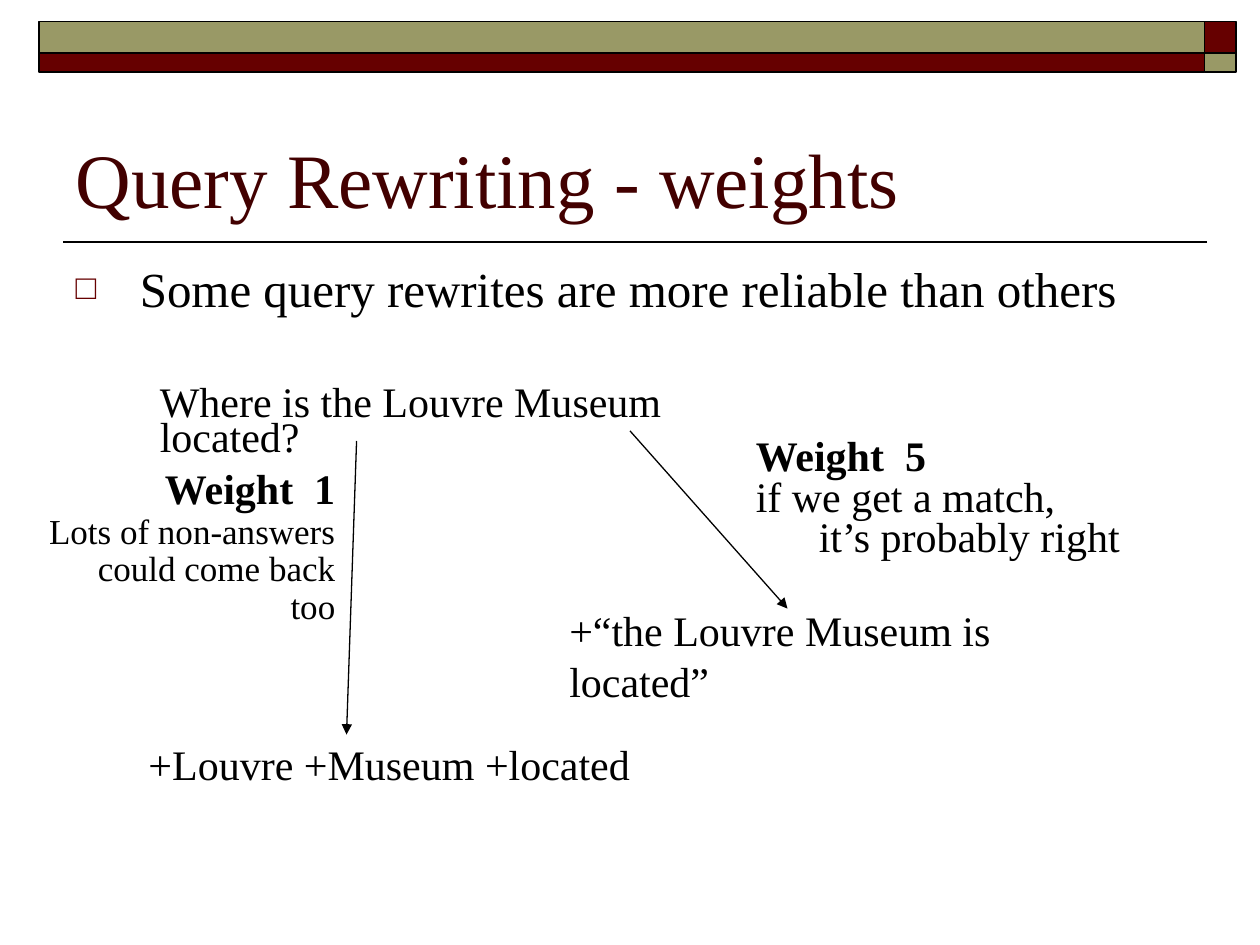
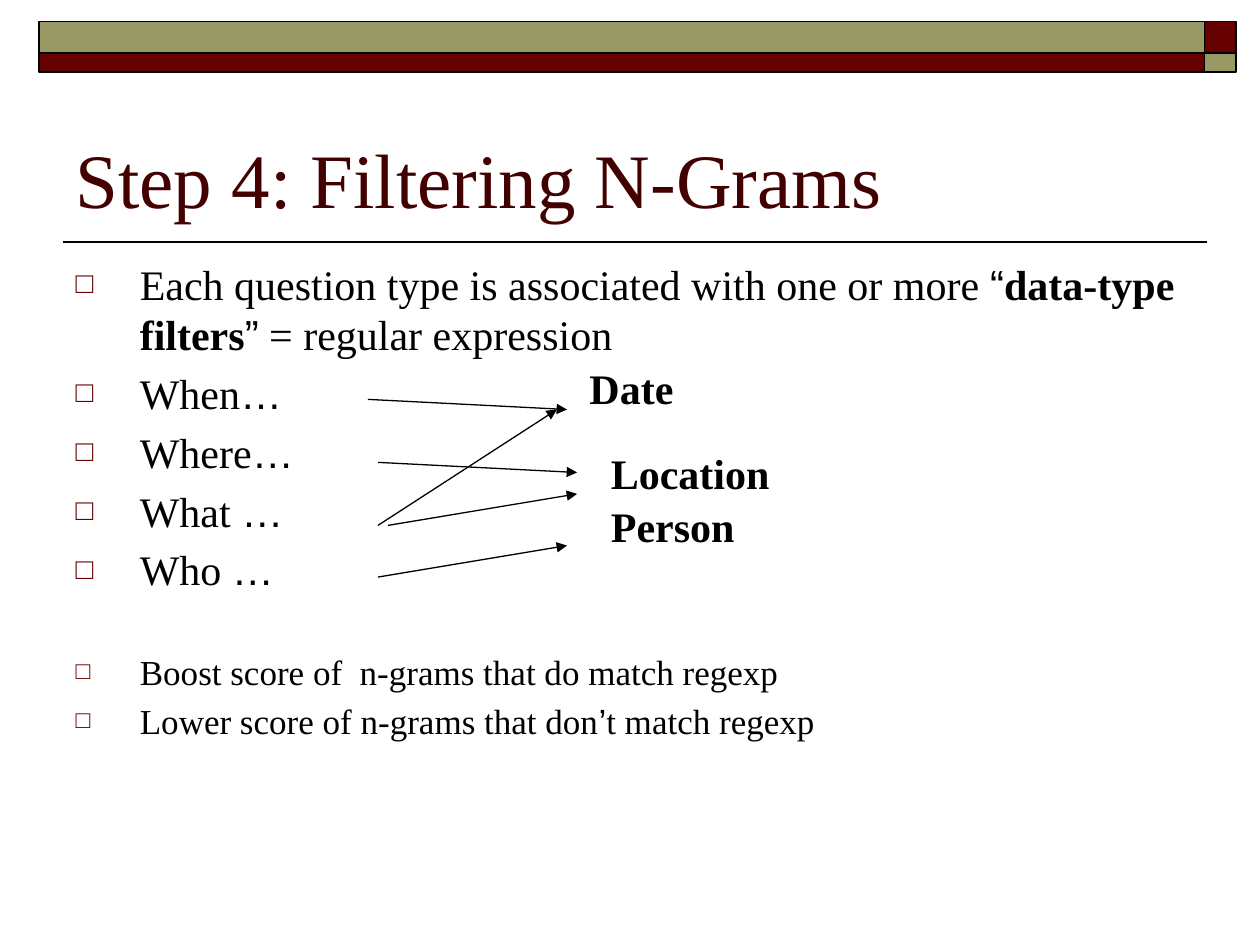
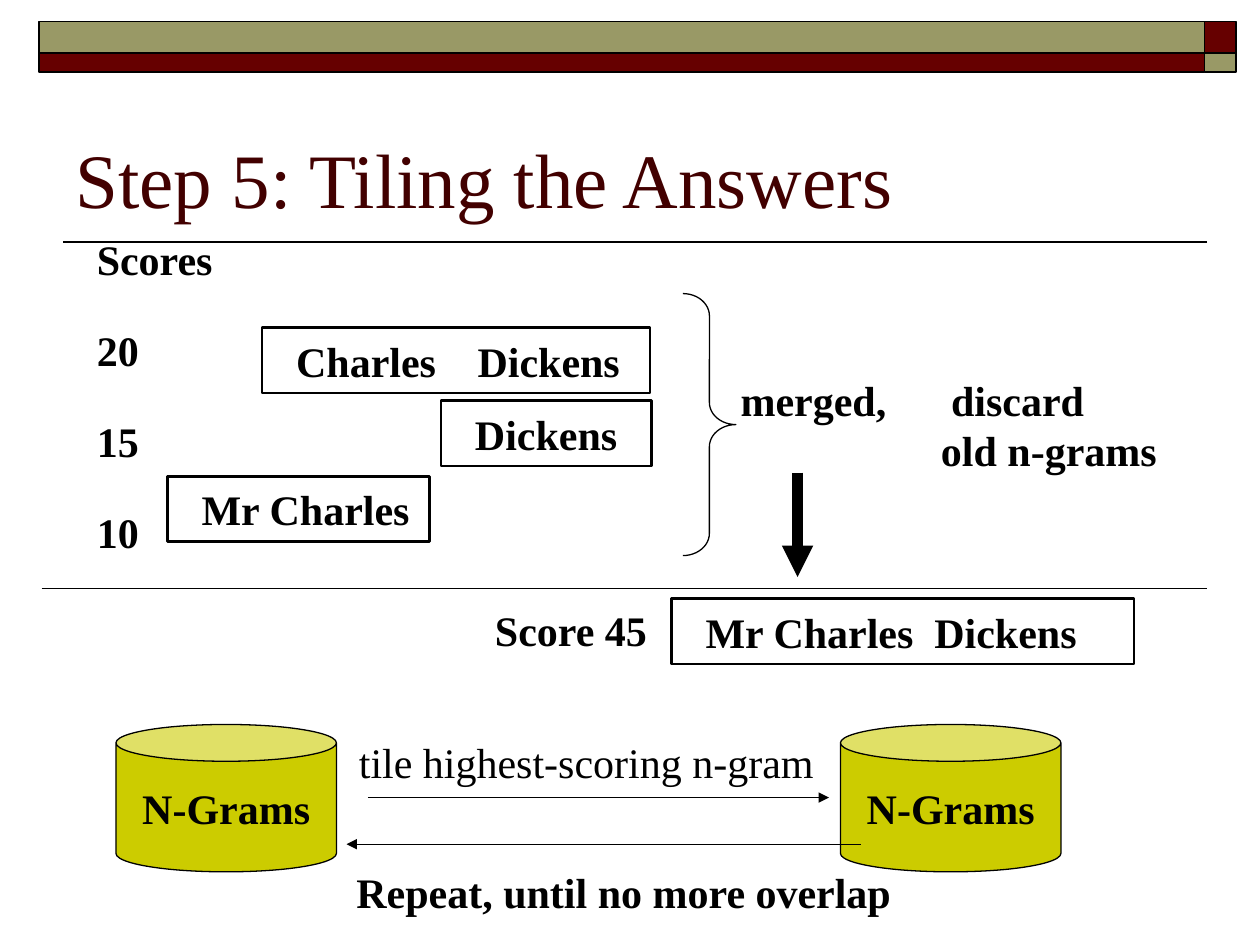
from dataclasses import dataclass

from lxml import etree
from pptx import Presentation
from pptx import util as u
from pptx.dml.color import RGBColor
from pptx.enum import shapes, text
from pptx.oxml import ns


@dataclass(frozen=True)
class Theme:
    font: str = "Times New Roman"
    symbol_font: str = "Arial"
    symbols: str = "“”’…"
    ink: str = "000000"
    heading: str = "420000"
    maroon: str = "660000"
    olive: str = "999966"
    store: str = "CCCC00"
    title_size: int = 44
    lead_size: int = 28
    text_size: int = 24
    small_size: int = 20
    thin: float = 0.75
    rule: float = 1
    frame: float = 1.5
    heavy: float = 6


@dataclass
class Line:
    words: str
    size: int = Theme.text_size
    bold: bool = False
    indent: float = 0
    tab: float = 0
    before: float = 0
    spacing: float = 1
    align: text.PP_ALIGN = text.PP_ALIGN.LEFT


def bold(words, **options):
    return Line(words, bold=True, **options)


def inches(*lengths):
    return [u.Inches(length) for length in lengths]


def add_xml(parent, tag, **attributes):
    return etree.SubElement(parent, ns.qn(tag), attributes)


class Slides:
    def __init__(self, theme):
        self.theme = theme
        self.deck = Presentation()
        self.deck.slide_width, self.deck.slide_height = inches(10, 7.5)
        self.page = None

    def start(self, title, layout):
        self.page = self.deck.slides.add_slide(self.deck.slide_layouts[layout])
        if len(self.deck.slides) == 1:
            self.dress_master()
        box = self.page.shapes.title
        self.place(box, 0.5, 0.58, 9, 1.25)
        frame = self.prepare(box, text.MSO_ANCHOR.BOTTOM, wrap=True)
        frame.text = title
        para = frame.paragraphs[0]
        para.alignment = text.PP_ALIGN.LEFT
        self.style(para.runs[0], self.theme.title_size, color=self.theme.heading)

    def dress_master(self):
        theme = self.theme
        parts = [self.line(9.58, 1.92, 0.5, 1.92, theme.rule)]
        rows = [(0.17, 0.25, theme.olive, theme.maroon), (0.42, 0.15, theme.maroon, theme.olive)]
        for top, height, band, corner in rows:
            for left, width, fill in [(0.31, 9.25, band), (9.56, 0.25, corner)]:
                parts.append(self.shape(shapes.MSO_SHAPE.RECTANGLE, left, top, width, height,
                                        fill, theme.rule))
        tree = self.deck.slide_master.shapes.element
        for number, part in enumerate(parts, 101):
            part.element.xpath(".//p:cNvPr")[0].set("id", str(number))
            tree.append(part.element)

    def place(self, box, *bounds):
        box.left, box.top, box.width, box.height = inches(*bounds)

    def prepare(self, box, anchor=text.MSO_ANCHOR.TOP, wrap=False):
        frame = box.text_frame
        frame.auto_size = text.MSO_AUTO_SIZE.NONE
        frame.word_wrap = wrap
        frame.vertical_anchor = anchor
        return frame

    def style(self, span, size, strong=False, color=None, font=None):
        span.font.name = font or self.theme.font
        span.font.size = u.Pt(size)
        span.font.bold = strong
        span.font.color.rgb = RGBColor.from_string(color or self.theme.ink)

    def fill_text(self, frame, lines):
        frame.text = "\n".join(line.words for line in lines)
        for para, line in zip(frame.paragraphs, lines):
            para.alignment = line.align
            para.line_spacing = line.spacing
            para.space_before = u.Pt(line.before)
            props = para._p.get_or_add_pPr()
            if line.indent:
                props.set("marL", str(u.Inches(line.indent)))
            if line.tab:
                tabs = add_xml(props, "a:tabLst")
                add_xml(tabs, "a:tab", pos=str(u.Inches(line.tab)), algn="l")
            for span in para.runs:
                self.style(span, line.size, line.bold)

    def label(self, left, top, width, height, *lines, wrap=False, anchor=text.MSO_ANCHOR.TOP):
        box = self.page.shapes.add_textbox(*inches(left, top, width, height))
        self.fill_text(self.prepare(box, anchor, wrap), lines)

    def bullets(self, items, strong=None):
        theme = self.theme
        box = self.page.placeholders[1]
        self.place(box, 0.5, 2, 9, 4.7)
        frame = self.prepare(box, wrap=True)
        for index, (size, before, pieces) in enumerate(items):
            para = frame.add_paragraph() if index else frame.paragraphs[0]
            para.space_before = u.Pt(before)
            props = para._p.get_or_add_pPr()
            props.set("marL", str(u.Inches(0.51)))
            props.set("indent", str(u.Inches(-0.51)))
            add_xml(add_xml(props, "a:buClr"), "a:srgbClr", val=theme.maroon)
            add_xml(props, "a:buSzPct", val="70000")
            add_xml(props, "a:buFont", typeface=theme.symbol_font)
            add_xml(props, "a:buChar", char="□")
            for piece in pieces:
                span = para.add_run()
                span.text = piece
                font = theme.symbol_font if piece in theme.symbols else theme.font
                self.style(span, size, piece == strong, font=font)

    def shape(self, kind, left, top, width, height, fill=None, weight=Theme.thin):
        box = self.page.shapes.add_shape(kind, *inches(left, top, width, height))
        box.shadow.inherit = False
        if fill:
            box.fill.solid()
            box.fill.fore_color.rgb = RGBColor.from_string(fill)
        else:
            box.fill.background()
        box.line.color.rgb = RGBColor.from_string(self.theme.ink)
        box.line.width = u.Pt(weight)
        return box

    def tile(self, left, top, width, words, tab=0):
        box = self.shape(shapes.MSO_SHAPE.RECTANGLE, left, top, width, 0.52,
                         weight=self.theme.frame)
        frame = self.prepare(box, text.MSO_ANCHOR.MIDDLE)
        frame.margin_left = u.Inches(0.27)
        self.fill_text(frame, [bold(words, tab=tab)])

    def store(self, left, top, words):
        box = self.shape(shapes.MSO_SHAPE.CAN, left, top, 1.75, 1.17, self.theme.store)
        self.fill_text(self.prepare(box, text.MSO_ANCHOR.MIDDLE),
                       [bold(words, align=text.PP_ALIGN.CENTER)])

    def brace(self, left, top, width, height):
        box = self.shape(shapes.MSO_SHAPE.RIGHT_BRACE, left, top, width, height)
        box.adjustments[0] = 0.42

    def line(self, x1, y1, x2, y2, weight=Theme.thin, arrow=False):
        link = self.page.shapes.add_connector(shapes.MSO_CONNECTOR.STRAIGHT,
                                              *inches(x1, y1, x2, y2))
        link.line.color.rgb = RGBColor.from_string(self.theme.ink)
        link.line.width = u.Pt(weight)
        if arrow:
            add_xml(link.line._get_or_add_ln(), "a:tailEnd", type="triangle")
        add_xml(link.element.spPr, "a:effectLst")
        return link

    def arrow(self, x1, y1, x2, y2, weight=Theme.thin):
        self.line(x1, y1, x2, y2, weight, arrow=True)


def weights(slides):
    theme = slides.theme
    slides.start("Query Rewriting - weights", 1)
    slides.bullets([(theme.lead_size, 0, ["Some query rewrites are more reliable than others"])])
    slides.label(4.42, 4.75, 4.6, 0.9, Line("+“the Louvre Museum is located”"), wrap=True)
    slides.label(1.17, 3.04, 5.2, 0.6,
                 Line("Where is the Louvre Museum located?", spacing=0.7), wrap=True)
    slides.label(5.9, 3.44, 3.11, 1.06,
                 bold("Weight  5", spacing=0.8),
                 Line("if we get a match,", spacing=0.8),
                 Line("it’s probably right", spacing=0.8, indent=0.5))
    slides.label(1.08, 5.92, 4.02, 0.38, Line("+Louvre +Museum +located", spacing=0.7))
    note = dict(spacing=0.9, align=text.PP_ALIGN.RIGHT)
    slides.label(0.28, 3.67, 2.48, 1.3,
                 bold("Weight  1", **note),
                 Line("Lots of non-answers", theme.small_size, **note),
                 Line("could come back too", theme.small_size, **note), wrap=True)
    slides.arrow(5, 3.42, 6.25, 4.83)
    slides.arrow(2.83, 3.5, 2.75, 5.83)


def filtering(slides):
    theme = slides.theme
    slides.start("Step 4: Filtering N-Grams", 1)
    strong = "data-type filters"
    rule = ["Each question type is associated with one or more ", "“", strong, "”",
            " = regular expression"]
    questions = ["When", "Where", "What ", "Who "]
    slides.bullets(
        [(theme.text_size, 0, rule)]
        + [(theme.text_size, 4.8, [question, "…"]) for question in questions]
        + [(theme.small_size, 32, ["Boost score of  n-grams that do match regexp"]),
           (theme.small_size, 4, ["Lower score of n-grams that don", "’", "t match regexp"])],
        strong)
    for left, top, width, answer in [(4.58, 2.83, 0.87, "Date"), (4.75, 3.5, 1.46, "Location"),
                                     (4.75, 3.92, 1.18, "Person")]:
        slides.label(left, top, width, 0.5, bold(answer))
    for ends in [(2.92, 3.17, 4.5, 3.25), (3, 3.67, 4.58, 3.75), (3, 4.17, 4.42, 3.25),
                 (3, 4.58, 4.5, 4.33), (3.08, 4.17, 4.58, 3.92)]:
        slides.arrow(*ends)


def tiling(slides):
    slides.start("Step 5: Tiling the Answers", 5)
    slides.tile(3.5, 3.18, 1.67, "Dickens")
    slides.tile(2.08, 2.6, 3.08, "Charles\tDickens", tab=1.44)
    slides.tile(1.33, 3.78, 2.08, "Mr Charles")
    slides.label(0.67, 1.85, 1.13, 2.62, bold("Scores", spacing=0.9),
                 *[bold(score, spacing=0.9, before=26) for score in ("20", "15", "10")])
    slides.brace(5.42, 2.33, 0.42, 2.08)
    slides.label(5.78, 2.33, 3.6, 2.08, bold("merged,\tdiscard", tab=1.67),
                 bold("old n-grams", indent=1.59), anchor=text.MSO_ANCHOR.MIDDLE)
    slides.tile(5.33, 4.75, 3.67, "Mr Charles  Dickens")
    slides.label(3.83, 4.75, 1.41, 0.5, bold("Score 45"))
    slides.arrow(6.33, 3.75, 6.33, 4.58, slides.theme.heavy)
    slides.line(0.33, 4.67, 9.58, 4.67)
    for left in (0.92, 6.67):
        slides.store(left, 5.75, "N-Grams")
    slides.arrow(2.92, 6.33, 6.58, 6.33)
    slides.label(2.75, 5.8, 3.81, 0.5, Line("tile highest-scoring n-gram"))
    slides.arrow(6.83, 6.7, 2.75, 6.7)
    slides.label(2.73, 6.83, 4.45, 0.5, bold("Repeat, until no more overlap"))


def main():
    slides = Slides(Theme())
    for build in (weights, filtering, tiling):
        build(slides)
    slides.deck.save("out.pptx")


if __name__ == "__main__":
    main()
